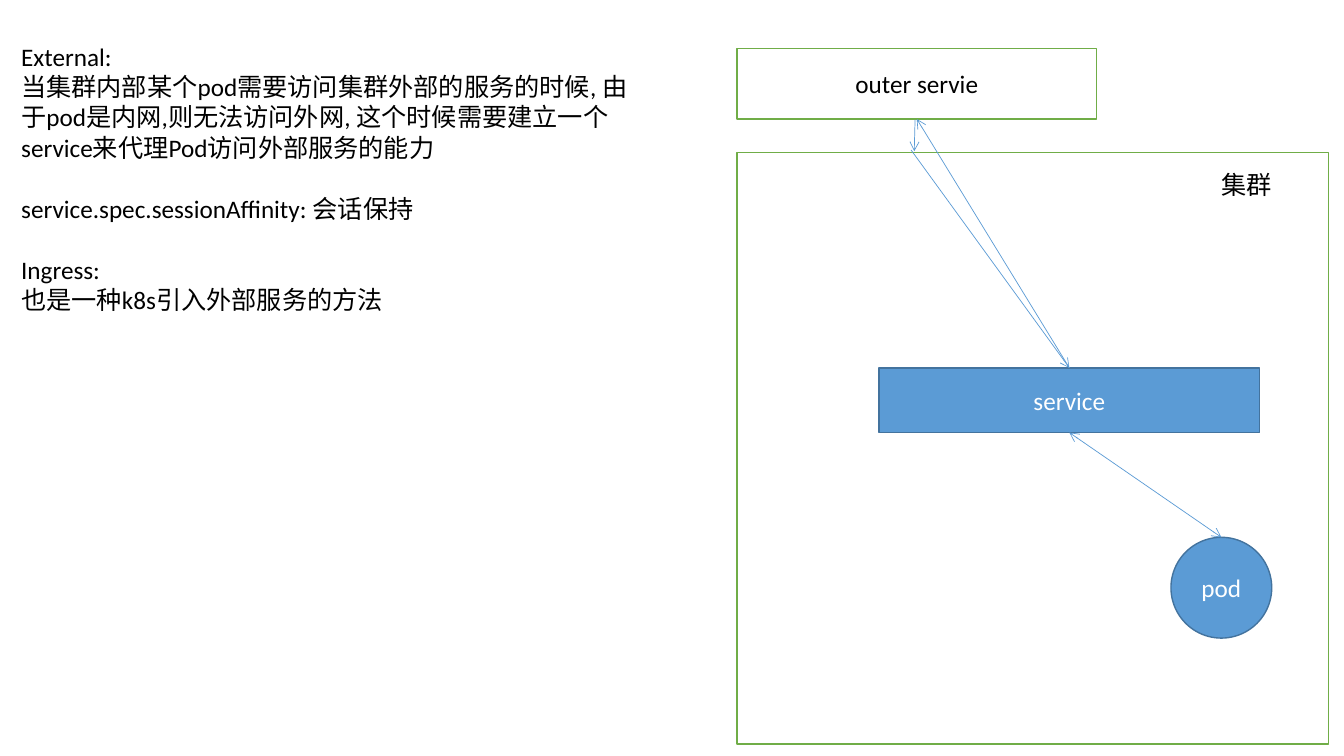
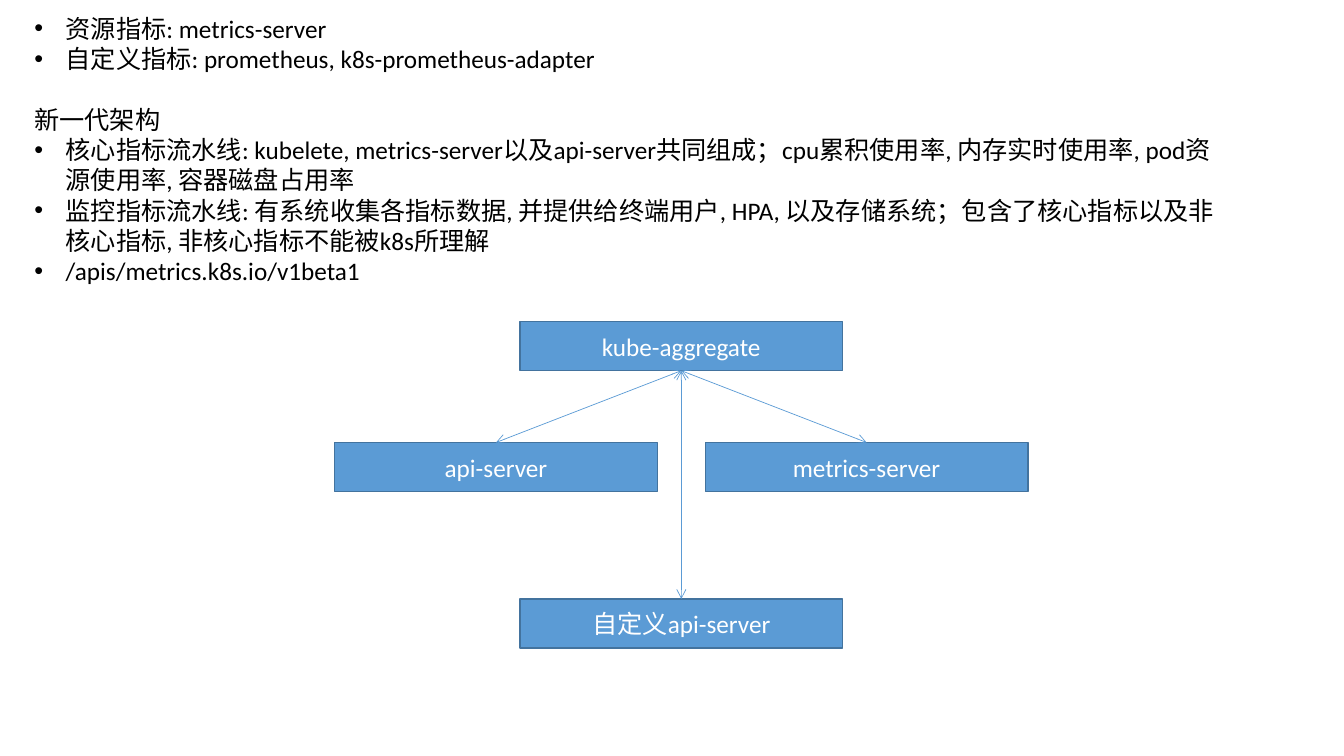
from lxml import etree
from pptx import Presentation
from pptx.dml.color import RGBColor
from pptx.enum.shapes import MSO_CONNECTOR, MSO_SHAPE
from pptx.enum.text import MSO_ANCHOR, MSO_AUTO_SIZE, PP_ALIGN
from pptx.oxml.ns import qn
from pptx.util import Cm, Pt

RECTANGLE, OVAL = MSO_SHAPE.RECTANGLE, MSO_SHAPE.OVAL
STRAIGHT = MSO_CONNECTOR.STRAIGHT
LEFT, CENTER = PP_ALIGN.LEFT, PP_ALIGN.CENTER
TOP, MIDDLE = MSO_ANCHOR.TOP, MSO_ANCHOR.MIDDLE
NO_AUTOFIT = MSO_AUTO_SIZE.NONE

COLORS = {
    "black": "000000",
    "white": "FFFFFF",
    "blue": "5B9BD5",
    "dark_blue": "43739E",
    "green": "70AD47",
}
FONT = "Calibri"
TEXT_SIZE = 18
SECTION_GAP = 22
BULLET_INDENT = 0.79

PLAIN, BULLET = False, True
SERVICE_NOTES = [
    (PLAIN, 0, "External:"),
    (PLAIN, 0, "当集群内部某个pod需要访问集群外部的服务的时候, 由于pod是内网,则无法访问外网, "
               "这个时候需要建立一个service来代理Pod访问外部服务的能力"),
    (PLAIN, SECTION_GAP, "service.spec.sessionAffinity: 会话保持"),
    (PLAIN, SECTION_GAP, "Ingress:"),
    (PLAIN, 0, "也是一种k8s引入外部服务的方法"),
]
METRICS_NOTES = [
    (BULLET, 0, "资源指标: metrics-server"),
    (BULLET, 0, "自定义指标: prometheus, k8s-prometheus-adapter"),
    (PLAIN, SECTION_GAP, "新一代架构"),
    (BULLET, 0, "核心指标流水线: kubelete, metrics-server以及api-server共同组成；"
                "cpu累积使用率, 内存实时使用率, pod资源使用率, 容器磁盘占用率"),
    (BULLET, 0, "监控指标流水线: 有系统收集各指标数据, 并提供给终端用户, HPA, 以及存储系统；"
                "包含了核心指标以及非核心指标, 非核心指标不能被k8s所理解"),
    (BULLET, 0, "/apis/metrics.k8s.io/v1beta1"),
]

SERVER_SIZE = (8.13, 1.24)
SERVER_CENTER = 17.17
SERVER_SIDE_OFFSET = 4.67
AGGREGATE_TOP = 8.1
SERVERS = [
    ("api-server", -SERVER_SIDE_OFFSET, 11.15),
    ("metrics-server", SERVER_SIDE_OFFSET, 11.15),
    ("自定义api-server", 0, 15.09),
]


def write(frame, paragraphs, color="black", align=LEFT, anchor=TOP):
    frame.word_wrap = True
    frame.auto_size = NO_AUTOFIT
    frame.vertical_anchor = anchor
    for index, (bulleted, gap, text) in enumerate(paragraphs):
        paragraph = frame.paragraphs[0] if index == 0 else frame.add_paragraph()
        properties = paragraph._p.get_or_add_pPr()
        indent = Cm(BULLET_INDENT) if bulleted else 0
        properties.set("marL", str(indent))
        properties.set("indent", str(-indent))
        if bulleted:
            etree.SubElement(properties, qn("a:buChar")).set("char", "•")
        else:
            etree.SubElement(properties, qn("a:buNone"))
        paragraph.alignment = align
        paragraph.space_before = Pt(gap)
        paragraph.font.name = FONT
        paragraph.font.size = Pt(TEXT_SIZE)
        paragraph.font.color.rgb = RGBColor.from_string(COLORS[color])
        paragraph.add_run().text = text


def add_notes_slide(deck, notes, box):
    slide = deck.slides.add_slide(deck.slide_layouts[1])
    title = slide.shapes.title
    title.element.getparent().remove(title.element)
    body = slide.placeholders[1]
    body.left, body.top, body.width, body.height = map(Cm, box)
    write(body.text_frame, notes)
    return slide


def add_node(slide, label, box, kind=RECTANGLE, fill="blue", border="dark_blue", color="white"):
    node = slide.shapes.add_shape(kind, *map(Cm, box))
    node.shadow.inherit = False
    node.fill.solid()
    node.fill.fore_color.rgb = RGBColor.from_string(COLORS[fill])
    node.line.color.rgb = RGBColor.from_string(COLORS[border])
    node.line.width = Pt(1)
    if label:
        write(node.text_frame, [(PLAIN, 0, label)], color=color, align=CENTER, anchor=MIDDLE)
    return node


def top_of(node):
    return node.left + node.width // 2, node.top


def bottom_of(node):
    return node.left + node.width // 2, node.top + node.height


def add_arrow(slide, start, end, both_ways=False):
    arrow = slide.shapes.add_connector(STRAIGHT, *start, *end)
    arrow.line.color.rgb = RGBColor.from_string(COLORS["blue"])
    arrow.line.width = Pt(0.5)
    outline = arrow.line._get_or_add_ln()
    for end_tag in ("a:headEnd", "a:tailEnd") if both_ways else ("a:tailEnd",):
        etree.SubElement(outline, qn(end_tag)).set("type", "arrow")
    etree.SubElement(arrow._element.spPr, qn("a:effectLst"))


def build_service_slide(deck):
    slide = add_notes_slide(deck, SERVICE_NOTES, (0.28, 0.91, 16.38, 7.19))
    outlined = {"fill": "white", "border": "green", "color": "black"}
    outer = add_node(slide, "outer servie", (18.57, 1.22, 9.07, 1.78), **outlined)
    add_node(slide, "", (18.57, 3.84, 14.91, 14.91), **outlined)
    pod = add_node(slide, "pod", (29.51, 13.54, 2.54, 2.54), kind=OVAL)
    service = add_node(slide, "service", (22.15, 9.27, 9.6, 1.63))
    cluster_label = slide.shapes.add_textbox(Cm(30.53), Cm(4.14), Cm(2.46), Cm(1.02))
    write(cluster_label.text_frame, [(PLAIN, 0, "集群")])
    add_arrow(slide, top_of(service), bottom_of(outer))
    add_arrow(slide, (Cm(23.06), Cm(3.02)), (Cm(23.04), Cm(3.81)))
    add_arrow(slide, (Cm(22.96), Cm(3.78)), top_of(service))
    add_arrow(slide, bottom_of(service), top_of(pod), both_ways=True)


def build_metrics_slide(deck):
    slide = add_notes_slide(deck, METRICS_NOTES, (0.61, 0.2, 30.45, 7.19))
    width, height = SERVER_SIZE
    left = SERVER_CENTER - width / 2
    aggregate = add_node(slide, "kube-aggregate", (left, AGGREGATE_TOP, width, height))
    for label, offset, top in SERVERS:
        server = add_node(slide, label, (left + offset, top, width, height))
        add_arrow(slide, bottom_of(aggregate), top_of(server), both_ways=True)


def main():
    deck = Presentation()
    deck.slide_width, deck.slide_height = Cm(33.87), Cm(19.05)
    build_service_slide(deck)
    build_metrics_slide(deck)
    deck.save("out.pptx")


if __name__ == "__main__":
    main()
